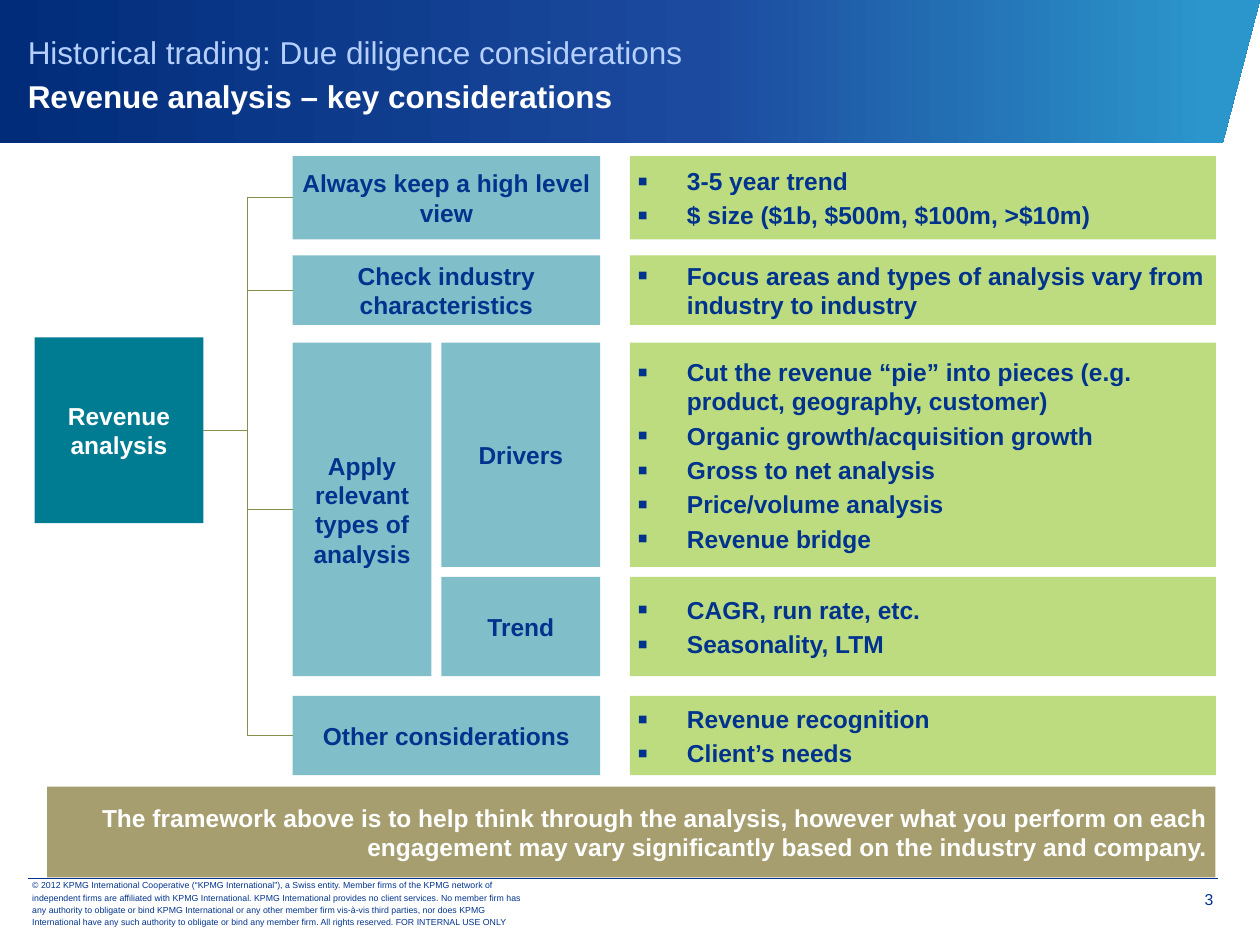
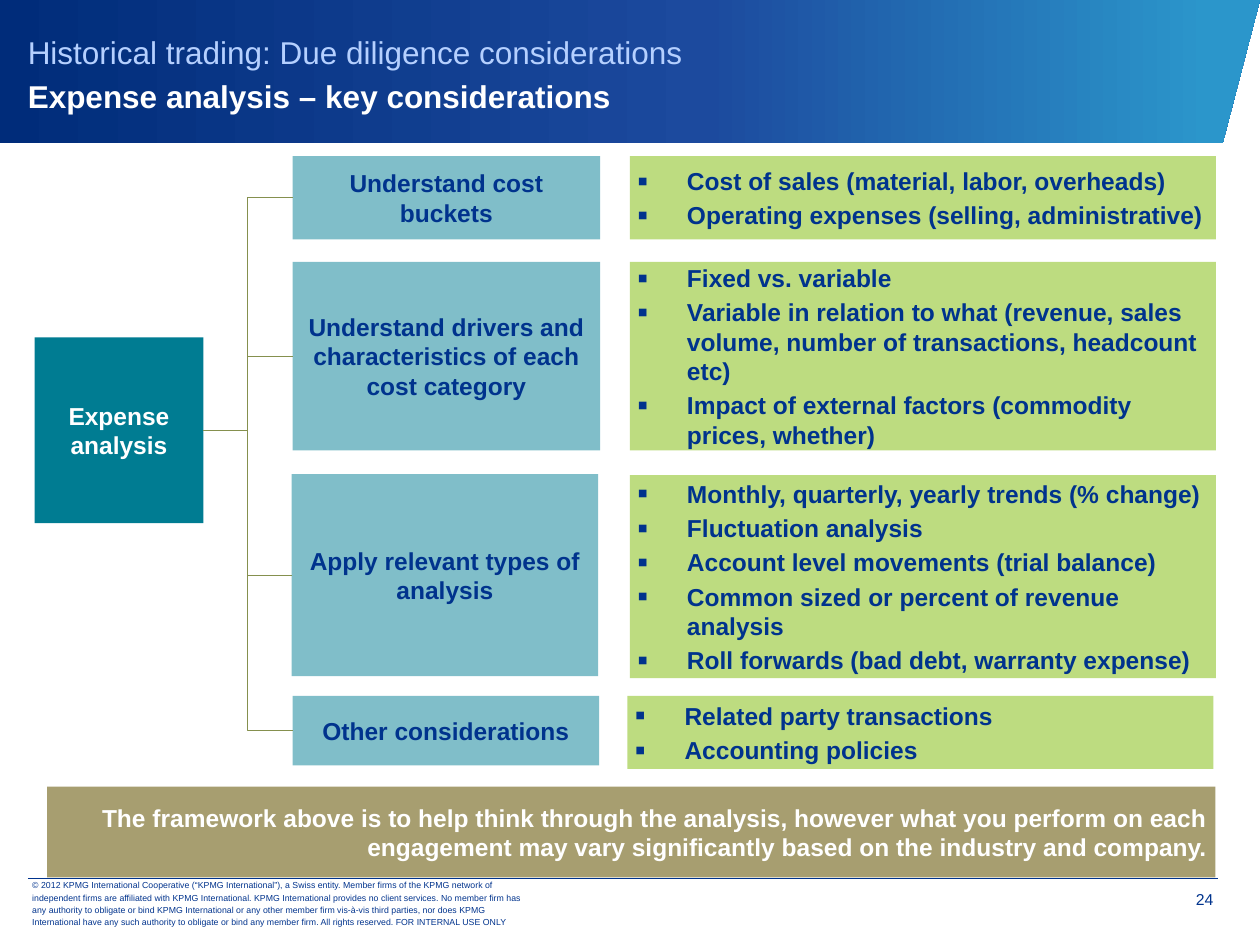
from copy import deepcopy

from lxml import etree
from pptx import Presentation
from pptx.dml.color import RGBColor
from pptx.enum.shapes import MSO_CONNECTOR, MSO_SHAPE
from pptx.enum.text import MSO_ANCHOR, MSO_AUTO_SIZE, PP_ALIGN
from pptx.oxml.ns import qn
from pptx.util import Cm, Pt

RECTANGLE = MSO_SHAPE.RECTANGLE
STRAIGHT, ELBOW = MSO_CONNECTOR.STRAIGHT, MSO_CONNECTOR.ELBOW
MIDDLE = MSO_ANCHOR.MIDDLE
NO_FIT = MSO_AUTO_SIZE.NONE
LEFT, CENTER, RIGHT = PP_ALIGN.LEFT, PP_ALIGN.CENTER, PP_ALIGN.RIGHT

FONT = "Arial"
COLORS = {
    "navy": "00338D",
    "white": "FFFFFF",
    "pale_blue": "B5D0FF",
    "topic": "007C92",
    "step": "80BEC9",
    "detail": "BDDC80",
    "banner": "A79E70",
    "branch": "85904E",
}
BAND_STOPS = [(0, "002C7A"), (0.56, "1C4A9E"), (0.96, "2B96CB")]

SECTION = "Historical trading: Due diligence considerations"
CAVEAT = (
    "The framework above is to help think through the analysis, however what you perform "
    "on each engagement may vary significantly based on the industry and company."
)
COPYRIGHT = (
    "© 2012 KPMG International Cooperative (“KPMG International”), a Swiss entity. "
    "Member firms of the KPMG network of independent firms are affiliated with KPMG "
    "International. KPMG International provides no client services. No member firm has any "
    "authority to obligate or bind KPMG International or any other member firm vis-à-vis "
    "third parties, nor does KPMG International have any such authority to obligate or bind "
    "any member firm. All rights reserved. FOR INTERNAL USE ONLY"
)

FRAMEWORKS = [
    {
        "topic": "Revenue analysis",
        "page": "3",
        "steps": [
            ("Always keep a high level view", 5.9, 3.15, 6.2, 1.68),
            ("Check industry characteristics", 5.9, 5.15, 6.2, 1.4),
            ("Apply relevant types of analysis", 5.9, 6.91, 2.8, 6.72),
            ("Other considerations", 5.9, 14.03, 6.2, 1.6),
        ],
        "substeps": [
            ("Drivers", 8.9, 6.91, 3.2, 4.52),
            ("Trend", 8.9, 11.63, 3.2, 2),
        ],
        "details": [
            (12.7, 3.15, 1.68, ["3-5 year trend", "$ size ($1b, $500m, $100m, >$10m)"]),
            (12.7, 5.15, 1.4, [
                "Focus areas and types of analysis vary from industry to industry",
            ]),
            (12.7, 6.91, 4.52, [
                "Cut the revenue “pie” into pieces (e.g. product, geography, customer)",
                "Organic growth/acquisition growth",
                "Gross to net analysis",
                "Price/volume analysis",
                "Revenue bridge",
            ]),
            (12.7, 11.63, 2, ["CAGR, run rate, etc.", "Seasonality, LTM"]),
            (12.7, 14.03, 1.6, ["Revenue recognition", "Client’s needs"]),
        ],
    },
    {
        "topic": "Expense analysis",
        "page": "24",
        "steps": [
            ("Understand cost buckets", 5.9, 3.15, 6.2, 1.68),
            ("Understand drivers and characteristics of each cost category", 5.9, 5.28, 6.2, 3.8),
            ("Apply relevant types of analysis", 5.88, 9.56, 6.18, 4.07),
            ("Other considerations", 5.9, 14.03, 6.18, 1.4),
        ],
        "substeps": [],
        "details": [
            (12.7, 3.15, 1.68, [
                "Cost of sales (material, labor, overheads)",
                "Operating expenses (selling, administrative)",
            ]),
            (12.7, 5.28, 3.8, [
                "Fixed vs. variable",
                "Variable in relation to what (revenue, sales volume, number of "
                "transactions, headcount etc)",
                "Impact of external factors (commodity prices, whether)",
            ]),
            (12.7, 9.58, 4.09, [
                "Monthly, quarterly, yearly trends (% change)",
                "Fluctuation analysis",
                "Account level movements (trial balance)",
                "Common sized or percent of revenue analysis",
                "Roll forwards (bad debt, warranty expense)",
            ]),
            (12.65, 14.03, 1.47, ["Related party transactions", "Accounting policies"]),
        ],
    },
]


def write(paragraph, text, size=14, color="navy", bold=False, align=LEFT, leading=None,
          bullet=False, before=0):
    if bullet:
        properties = paragraph._p.get_or_add_pPr()
        properties.set("marL", str(Cm(1)))
        properties.set("indent", str(-Cm(1)))
        bullet_color = etree.SubElement(properties, qn("a:buClr"))
        etree.SubElement(bullet_color, qn("a:srgbClr"), val=COLORS["navy"])
        etree.SubElement(properties, qn("a:buSzPct"), val="125000")
        etree.SubElement(properties, qn("a:buFont"), typeface=FONT)
        etree.SubElement(properties, qn("a:buChar"), char="▪")
    paragraph.alignment = align
    if leading:
        paragraph.line_spacing = Pt(leading)
    if before:
        paragraph.space_before = Pt(before)
    run = paragraph.add_run()
    run.text = text
    run.font.name = FONT
    run.font.size = Pt(size)
    run.font.bold = bold
    run.font.color.rgb = RGBColor.from_string(COLORS[color])


def add_block(slide, role, left, top, width, height, texts, **text_format):
    block = slide.shapes.add_shape(RECTANGLE, Cm(left), Cm(top), Cm(width), Cm(height))
    block.shadow.inherit = False
    block.fill.solid()
    block.fill.fore_color.rgb = RGBColor.from_string(COLORS[role])
    block.line.fill.background()
    frame = block.text_frame
    frame.word_wrap = True
    frame.vertical_anchor = MIDDLE
    frame.margin_left = frame.margin_right = frame.margin_top = frame.margin_bottom = Cm(0.15)
    for index, text in enumerate(texts):
        paragraph = frame.add_paragraph() if index else frame.paragraphs[0]
        write(paragraph, text, bold=True, before=2.8 if index else 0, **text_format)
    return block


prs = Presentation()
prs.slide_width = Cm(25.4)
prs.slide_height = Cm(19.05)

for framework in FRAMEWORKS:
    slide = prs.slides.add_slide(prs.slide_layouts[5])
    shapes = slide.shapes

    outline = shapes.build_freeform(0, 0, scale=Cm(1) / 100)
    outline.add_line_segments([(2540, 0), (2465, 288), (0, 288)], close=True)
    band = outline.convert_to_shape()
    band.shadow.inherit = False
    band.line.fill.background()
    band.fill.gradient()
    band.fill.gradient_angle = 0
    stop_list = band._element.spPr.find(".//" + qn("a:gsLst"))
    stop_list.append(deepcopy(stop_list[0]))
    for stop, (position, color) in zip(band.fill.gradient_stops, BAND_STOPS):
        stop.position = position
        stop.color.rgb = RGBColor.from_string(color)
    shapes._spTree.insert(2, band._element)

    title = shapes.title
    title.left, title.top, title.width, title.height = Cm(0.56), Cm(0.33), Cm(23.75), Cm(2.21)
    heading = title.text_frame
    heading.auto_size = NO_FIT
    heading.word_wrap = True
    heading.vertical_anchor = MIDDLE
    heading.margin_left = heading.margin_right = heading.margin_top = heading.margin_bottom = 0
    heading_lines = heading.paragraphs[0]
    write(heading_lines, SECTION, size=18, color="pale_blue", leading=25)
    heading_lines.add_line_break()
    write(heading_lines, f"{framework['topic']} – key considerations", size=18, color="white",
          bold=True, leading=25)

    topic = add_block(slide, "topic", 0.7, 6.8, 3.4, 3.75, [framework["topic"]],
                      color="white", align=CENTER)
    for label, *place in framework["steps"]:
        step = add_block(slide, "step", *place, [label], align=CENTER)
        branch = shapes.add_connector(ELBOW, 0, 0, 0, 0)
        branch.begin_connect(topic, 3)
        branch.end_connect(step, 1)
        branch.line.color.rgb = RGBColor.from_string(COLORS["branch"])
        branch.line.width = Pt(0.5)
        etree.SubElement(branch._element.spPr, qn("a:effectLst"))
    for label, *place in framework["substeps"]:
        add_block(slide, "step", *place, [label], align=CENTER)
    for left, top, height, points in framework["details"]:
        add_block(slide, "detail", left, top, 11.81, height, points, bullet=True)
    add_block(slide, "banner", 0.95, 15.86, 23.55, 1.83, [CAVEAT], color="white", align=RIGHT)

    footer_rule = shapes.add_connector(STRAIGHT, Cm(0.56), Cm(17.7), Cm(24.56), Cm(17.7))
    footer_rule.line.color.rgb = RGBColor.from_string(COLORS["navy"])
    footer_rule.line.width = Pt(0.25)
    etree.SubElement(footer_rule._element.spPr, qn("a:effectLst"))

    notice = shapes.add_textbox(Cm(0.4), Cm(17.75), Cm(10.54), Cm(0.9)).text_frame
    notice.word_wrap = True
    notice.vertical_anchor = MIDDLE
    write(notice.paragraphs[0], COPYRIGHT, size=5, leading=7)

    page = shapes.add_textbox(Cm(23.06), Cm(17.73), Cm(1.4), Cm(0.8)).text_frame
    page.word_wrap = True
    page.margin_left = page.margin_top = Cm(0.2)
    page.margin_right = page.margin_bottom = 0
    write(page.paragraphs[0], framework["page"], size=9, align=RIGHT)

prs.save("out.pptx")
